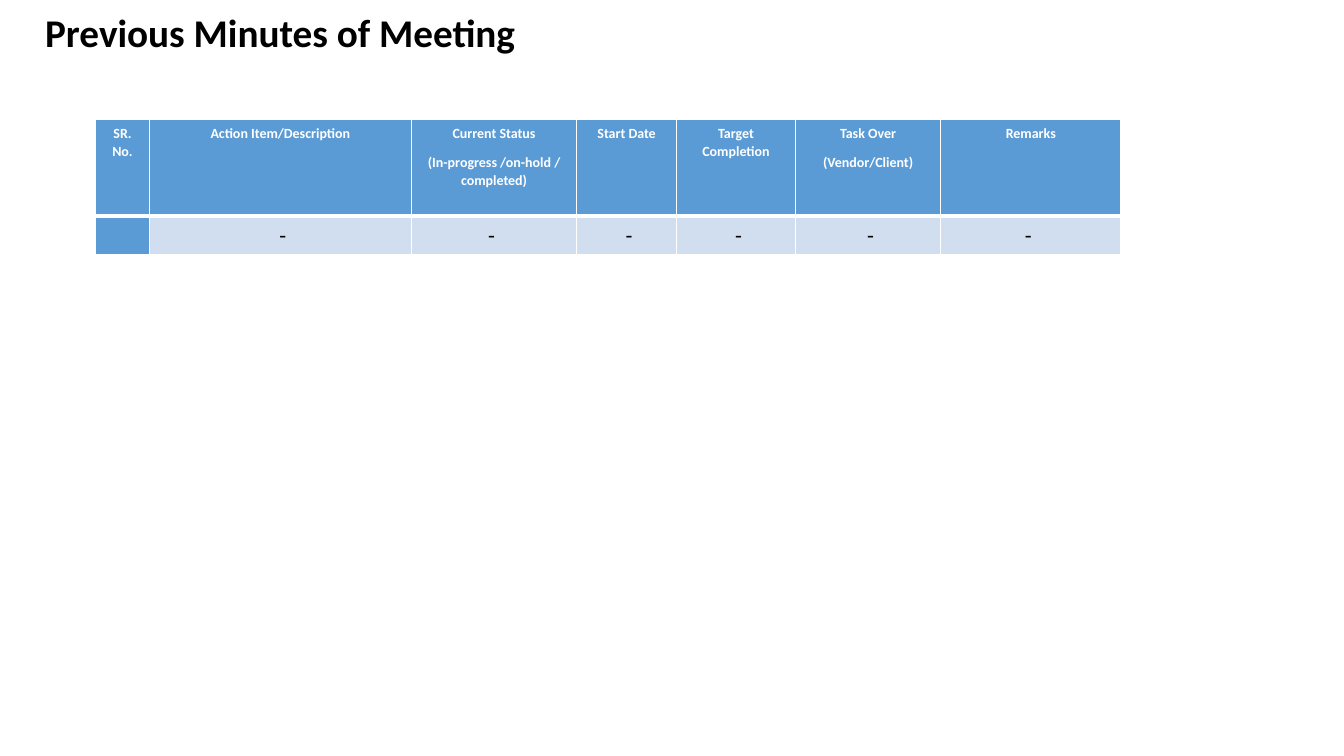
from dataclasses import dataclass

from lxml.etree import SubElement
from pptx import Presentation
from pptx.dml.color import RGBColor
from pptx.enum.text import MSO_AUTO_SIZE, PP_ALIGN
from pptx.oxml.ns import qn
from pptx.util import Inches, Pt


@dataclass(frozen=True)
class Theme:
    font: str = "Calibri"
    black: str = "000000"
    white: str = "FFFFFF"
    blue: str = "5B9BD5"
    pale_blue: str = "D1DEEF"
    title_size: int = 28
    header_size: int = 10
    body_size: int = 16
    thin_line: float = 0.96
    thick_line: float = 3


THEME = Theme()
COLUMN_WIDTHS = [0.53, 2.6, 1.64, 0.99, 1.18, 1.44, 1.79]
ROW_HEIGHTS = [0.96, 0.39]
HEADERS = [
    "SR. No.",
    "Action Item/Description",
    "Current Status\n(In-progress /on-hold / completed)",
    "Start Date",
    "Target Completion",
    "Task Over\n(Vendor/Client)",
    "Remarks",
]
ACTION_ITEM = ["", " -", "- ", " -", " -", " -", "- "]


def style_font(paragraph, size, color, bold):
    font = paragraph.font
    font.name = THEME.font
    font.size = Pt(size)
    font.bold = bold
    font.color.rgb = RGBColor.from_string(color)


def add_title(slide, text):
    box = slide.shapes.add_textbox(Inches(0.35), Inches(0.03), Inches(5.22), Inches(0.57))
    frame = box.text_frame
    frame.word_wrap = True
    frame.auto_size = MSO_AUTO_SIZE.SHAPE_TO_FIT_TEXT
    frame.text = text
    style_font(frame.paragraphs[0], THEME.title_size, THEME.black, True)


def set_borders(cell, top, bottom):
    properties = cell._tc.get_or_add_tcPr()
    widths = {"a:lnL": THEME.thin_line, "a:lnR": THEME.thin_line, "a:lnT": top, "a:lnB": bottom}
    for side, width in widths.items():
        line = SubElement(properties, qn(side), w=str(Pt(width)))
        fill = SubElement(line, qn("a:solidFill"))
        SubElement(fill, qn("a:srgbClr"), val=THEME.white)


def fill_cell(cell, text, is_header, fill_color):
    cell.margin_left = cell.margin_right = Inches(0.07)
    cell.margin_top = cell.margin_bottom = Inches(0.05)
    if is_header:
        set_borders(cell, THEME.thin_line, THEME.thick_line)
    else:
        set_borders(cell, THEME.thick_line, THEME.thin_line)
    cell.fill.solid()
    cell.fill.fore_color.rgb = RGBColor.from_string(fill_color)
    cell.text = text
    size = THEME.header_size if is_header or not text else THEME.body_size
    color = THEME.white if is_header else THEME.black
    for paragraph in cell.text_frame.paragraphs:
        paragraph.alignment = PP_ALIGN.CENTER
        paragraph.line_spacing = 1.07
        paragraph.space_after = Pt(8)
        style_font(paragraph, size, color, is_header)


def add_minutes_table(slide, rows):
    table = slide.shapes.add_table(
        len(rows), len(COLUMN_WIDTHS), Inches(0.95), Inches(1.18),
        Inches(sum(COLUMN_WIDTHS)), Inches(sum(ROW_HEIGHTS)),
    ).table
    for column, width in zip(table.columns, COLUMN_WIDTHS):
        column.width = Inches(width)
    for row_index, texts in enumerate(rows):
        table.rows[row_index].height = Inches(ROW_HEIGHTS[row_index])
        is_header = row_index == 0
        for column_index, text in enumerate(texts):
            is_blue = is_header or column_index == 0
            fill_color = THEME.blue if is_blue else THEME.pale_blue
            fill_cell(table.cell(row_index, column_index), text, is_header, fill_color)


def main():
    presentation = Presentation()
    presentation.slide_width = Inches(13.33)
    presentation.slide_height = Inches(7.5)
    slide = presentation.slides.add_slide(presentation.slide_layouts[6])
    add_title(slide, "Previous Minutes of Meeting")
    add_minutes_table(slide, [HEADERS, ACTION_ITEM])
    presentation.save("out.pptx")


if __name__ == "__main__":
    main()
